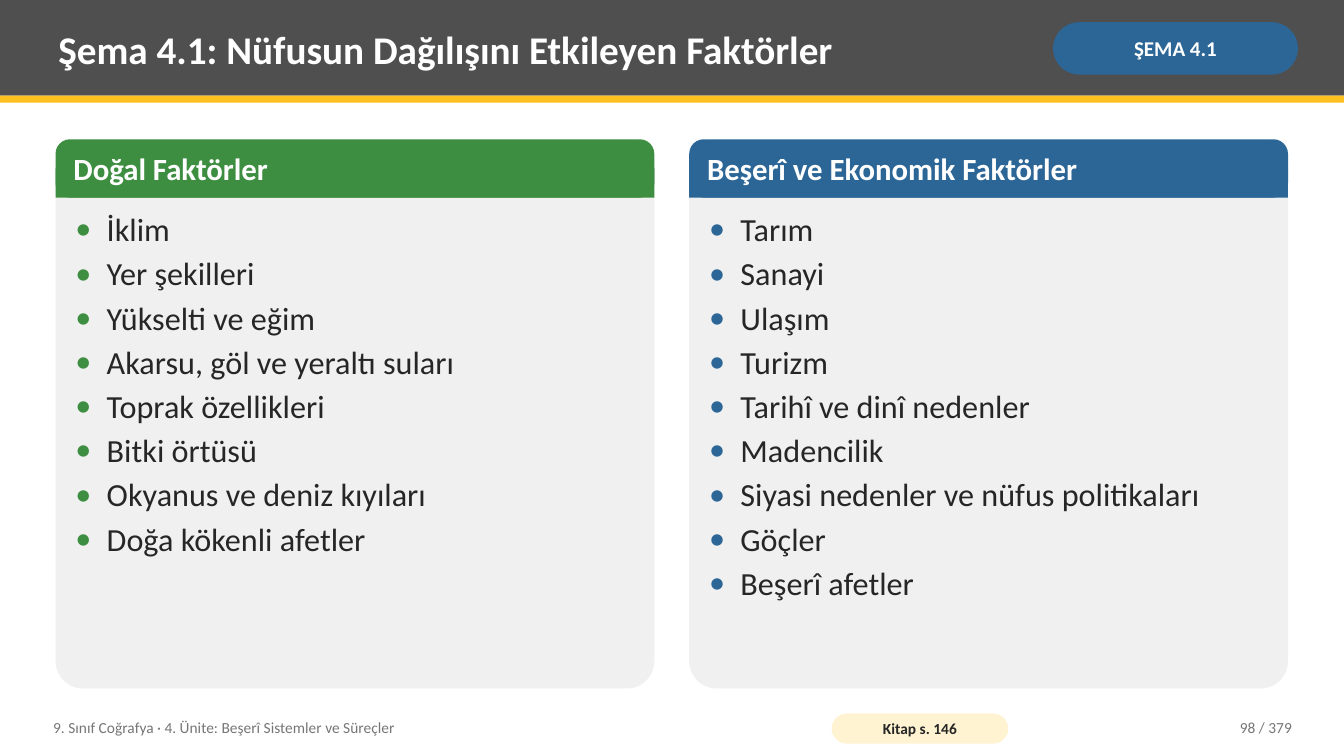
import dataclasses

import lxml.etree
import pptx
import pptx.dml.color
import pptx.enum.shapes
import pptx.enum.text
import pptx.oxml.ns
import pptx.util

Cm = pptx.util.Cm
Shape = pptx.enum.shapes.MSO_SHAPE
Align = pptx.enum.text.PP_ALIGN
Anchor = pptx.enum.text.MSO_ANCHOR


@dataclasses.dataclass(frozen=True)
class Theme:
    font: str = "Calibri"
    white: str = "FFFFFF"
    ink: str = "262626"
    muted: str = "767676"
    band: str = "4F4F4F"
    yellow: str = "FCC021"
    cream: str = "FFF3D1"
    panel: str = "F0F0F0"
    green: str = "3E8E41"
    blue: str = "2C6696"
    title_size: int = 28
    heading_size: int = 22
    list_size: int = 23
    badge_size: int = 15
    footer_size: int = 11


THEME = Theme()

PANEL_TOP, PANEL_WIDTH, PANEL_HEIGHT = 3.51, 15.09, 13.84
HEADING_HEIGHT = 1.47
INDENT = 0.79

# Each column: left edge, colour, heading, items
COLUMNS = [
    (1.4, THEME.green, "Doğal Faktörler", [
        "İklim", "Yer şekilleri", "Yükselti ve eğim",
        "Akarsu, göl ve yeraltı suları", "Toprak özellikleri",
        "Bitki örtüsü", "Okyanus ve deniz kıyıları",
        "Doğa kökenli afetler"]),
    (17.37, THEME.blue, "Beşerî ve Ekonomik Faktörler", [
        "Tarım", "Sanayi", "Ulaşım", "Turizm", "Tarihî ve dinî nedenler",
        "Madencilik", "Siyasi nedenler ve nüfus politikaları", "Göçler",
        "Beşerî afetler"]),
]


def rgb(value):
    return pptx.dml.color.RGBColor.from_string(value)


def add_block(page, kind, left, top, width, height, fill, rounding=None):
    """Add a plain filled shape without outline or shadow."""
    block = page.shapes.add_shape(kind, Cm(left), Cm(top), Cm(width), Cm(height))
    block.shadow.inherit = False
    block.fill.solid()
    block.fill.fore_color.rgb = rgb(fill)
    block.line.fill.background()
    if rounding is not None:
        block.adjustments[0] = rounding
    return block


def write(box, lines, size, color, bold=False, align=Align.LEFT,
          anchor=Anchor.MIDDLE, insets=(0.2, 0.1), bullet=None):
    """Fill a shape, text box or placeholder with formatted paragraphs."""
    frame = box.text_frame
    frame.word_wrap = True
    frame.auto_size = pptx.enum.text.MSO_AUTO_SIZE.NONE
    frame.vertical_anchor = anchor
    frame.margin_left = frame.margin_right = Cm(insets[0])
    frame.margin_top = frame.margin_bottom = Cm(insets[1])
    frame.text = "\n".join(lines)
    for para in frame.paragraphs:
        if bullet:
            add_bullet(para, bullet)
        para.alignment = align
        para.space_before = pptx.util.Pt(0)
        para.font.name = THEME.font
        para.font.size = pptx.util.Pt(size)
        para.font.bold = bold
        para.font.color.rgb = rgb(color)


def add_bullet(para, color):
    """Give a paragraph a coloured dot and a hanging indent."""
    qn = pptx.oxml.ns.qn
    props = para._p.get_or_add_pPr()
    props.set("marL", str(Cm(INDENT)))
    props.set("indent", str(-Cm(INDENT)))
    tint = lxml.etree.SubElement(props, qn("a:buClr"))
    lxml.etree.SubElement(tint, qn("a:srgbClr"), val=color)
    lxml.etree.SubElement(props, qn("a:buFont"), typeface=THEME.font)
    lxml.etree.SubElement(props, qn("a:buChar"), char="•")


def place(page, box, left, top, width, height):
    """Move a placeholder and bring it to the front."""
    box.left, box.top, box.width, box.height = map(Cm, (left, top, width, height))
    page.shapes._spTree.append(box._element)


def add_header(page):
    add_block(page, Shape.RECTANGLE, 0, 0, 33.87, 2.41, THEME.band)
    add_block(page, Shape.RECTANGLE, 0, 2.41, 33.87, 0.18, THEME.yellow)
    title = page.shapes.title
    place(page, title, 1.27, 0.18, 24.77, 2.08)
    write(title, ["Şema 4.1: Nüfusun Dağılışını Etkileyen Faktörler"],
          THEME.title_size, THEME.white, bold=True)
    badge = add_block(page, Shape.ROUNDED_RECTANGLE, 26.54, 0.56, 6.17, 1.32,
                      THEME.blue, 0.5)
    write(badge, ["ŞEMA 4.1"], THEME.badge_size, THEME.white, bold=True,
          align=Align.CENTER, insets=(0.13, 0.05))


def add_column(page, heading_box, list_box, left, color, heading, items):
    # Panel with a heading bar, rounded only at the top
    add_block(page, Shape.ROUNDED_RECTANGLE, left, PANEL_TOP, PANEL_WIDTH,
              PANEL_HEIGHT, THEME.panel, 0.05)
    add_block(page, Shape.ROUNDED_RECTANGLE, left, PANEL_TOP, PANEL_WIDTH,
              HEADING_HEIGHT, color, 0.25)
    add_block(page, Shape.RECTANGLE, left, PANEL_TOP + HEADING_HEIGHT / 2,
              PANEL_WIDTH, HEADING_HEIGHT / 2, color)
    # Heading and list
    place(page, heading_box, left + 0.25, PANEL_TOP, PANEL_WIDTH - 0.5,
          HEADING_HEIGHT)
    write(heading_box, [heading], THEME.heading_size, THEME.white, bold=True)
    place(page, list_box, left + 0.3, 5.18, PANEL_WIDTH - 0.6, 11.96)
    write(list_box, items, THEME.list_size, THEME.ink, anchor=Anchor.TOP,
          bullet=color)
    for para in list_box.text_frame.paragraphs[:-1]:
        para.space_after = pptx.util.Pt(4)


def add_footer_text(page, left, width, text, align):
    box = page.shapes.add_textbox(Cm(left), Cm(17.88), Cm(width), Cm(0.91))
    write(box, [text], THEME.footer_size, THEME.muted, align=align)


def add_footer(page):
    add_footer_text(page, 1.14, 19.3,
                    "9. Sınıf Coğrafya · 4. Ünite: Beşerî Sistemler ve Süreçler",
                    Align.LEFT)
    source = add_block(page, Shape.ROUNDED_RECTANGLE, 20.96, 17.98, 4.45, 0.76,
                       THEME.cream, 0.5)
    write(source, ["Kitap s. 146"], THEME.footer_size, THEME.ink, bold=True,
          align=Align.CENTER, insets=(0.1, 0))
    add_footer_text(page, 28.7, 4.06, "98 / 379", Align.RIGHT)


def main():
    deck = pptx.Presentation()
    deck.slide_width, deck.slide_height = Cm(33.87), Cm(19.05)
    # The comparison layout holds a title and two heading and list pairs
    page = deck.slides.add_slide(deck.slide_layouts.get_by_name("Comparison"))
    boxes = list(page.placeholders)[1:]
    add_header(page)
    for heading_box, list_box, column in zip(boxes[::2], boxes[1::2], COLUMNS):
        add_column(page, heading_box, list_box, *column)
    add_footer(page)
    deck.save("out.pptx")


if __name__ == "__main__":
    main()
